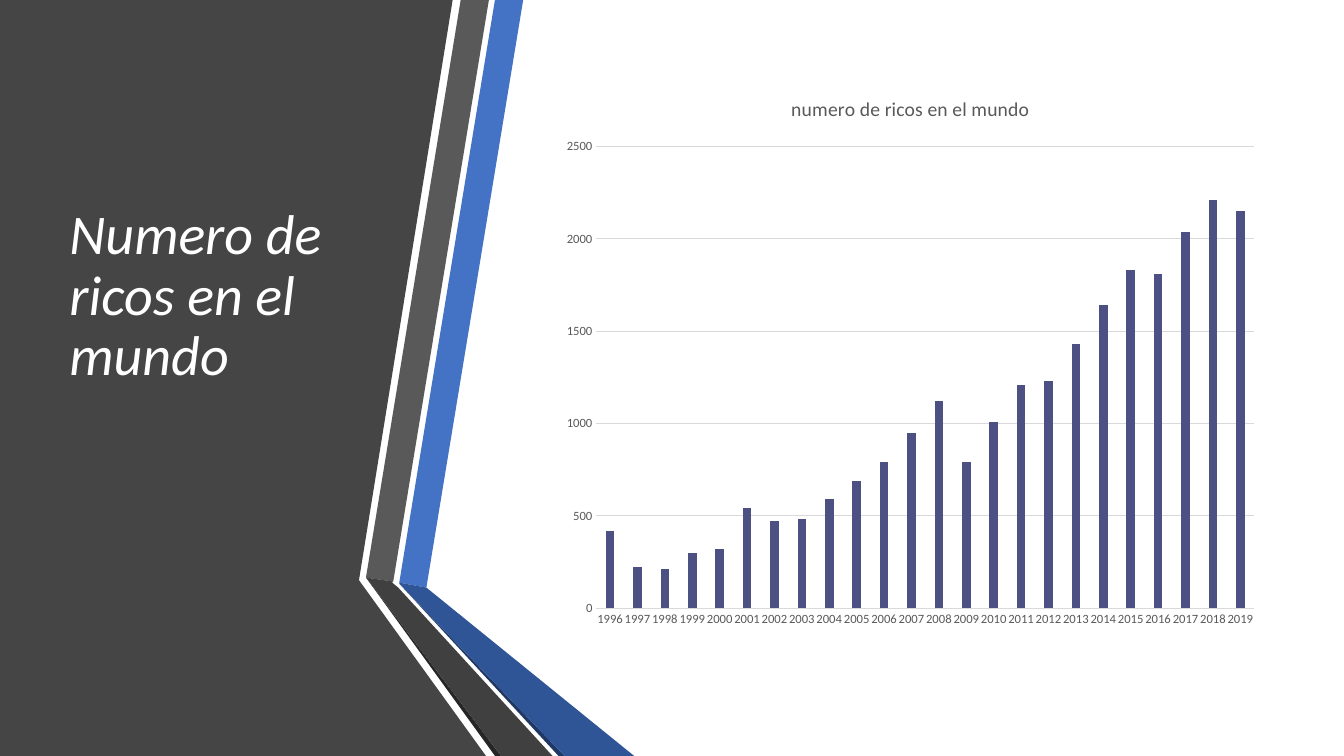
import pptx
import pptx.chart.data
import pptx.dml.color
import pptx.enum.chart
import pptx.enum.text
import pptx.util

WIDE = pptx.util.Inches(13.33)
HIGH = pptx.util.Inches(7.5)
FONT = "Calibri"
HUES = {
    "panel": "454545", "blue": "4472C4", "gray": "595959", "black": "262626",
    "navy": "203864", "deep": "2F5597", "dark": "404040", "white": "FFFFFF",
    "grid": "D9D9D9", "bar": "4D5083",
}
BANDS = [
    ("panel", [(0, 0), (33.68, 0), (26.71, 76.75), (36.16, 100), (0, 100)]),
    ("blue", [(29.71, 77.07), (31.73, 77.73), (38.93, 0), (36.83, 0)]),
    ("gray", [(36.38, 0), (34.28, 0), (27.23, 76.4), (29.26, 76.93)]),
    ("black", [(27.23, 76.4), (36.83, 100), (37.28, 100)]),
    ("navy", [(29.71, 77.2), (41.56, 100), (42.01, 100)]),
    ("deep", [(29.71, 77.2), (42.01, 100), (47.19, 100), (31.73, 77.73),
              (29.71, 77.07)]),
    ("dark", [(41.11, 100), (29.63, 77.73), (29.18, 77.07), (29.26, 76.93),
              (27.23, 76.4), (37.28, 100)]),
]
YEARS = [str(year) for year in range(1996, 2020)]
RICH = [420, 220, 210, 300, 320, 540, 470, 480, 590, 690, 790, 950,
        1120, 790, 1010, 1210, 1230, 1430, 1640, 1830, 1810, 2040, 2210, 2150]


def tint(name):
    return pptx.dml.color.RGBColor.from_string(HUES[name])


def place(x, y):
    return round(WIDE * x / 100), round(HIGH * y / 100)


def style(font, size, hue, slant=False):
    font.name = FONT
    font.size = pptx.util.Pt(size)
    font.color.rgb = tint(hue)
    font.bold = False
    font.italic = slant


def write(frame, text, size=14, hue="gray", slant=False, lead=None):
    part = frame.paragraphs[0]
    if lead:
        part.line_spacing = lead
    run = part.add_run()
    run.text = text
    style(run.font, size, hue, slant)


def add_band(slide, hue, points):
    spots = [place(*point) for point in points]
    form = slide.shapes.build_freeform(*spots[0], scale=1.0)
    form.add_line_segments(spots[1:], close=True)
    band = form.convert_to_shape()
    band.shadow.inherit = False
    band.fill.solid()
    band.fill.fore_color.rgb = tint(hue)
    band.line.fill.background()


def add_title(slide, text):
    box = slide.shapes.add_textbox(*place(4.43, 10), *place(22.81, 74.4))
    frame = box.text_frame
    frame.word_wrap = True
    frame.vertical_anchor = pptx.enum.text.MSO_ANCHOR.MIDDLE
    frame.margin_bottom = round(HIGH * 0.165)
    write(frame, text, size=40, hue="white", slant=True, lead=0.9)


def style_axis(axis):
    none = pptx.enum.chart.XL_TICK_MARK.NONE
    axis.major_tick_mark = none
    axis.minor_tick_mark = none
    style(axis.tick_labels.font, 9, "gray")


def rule(line):
    line.color.rgb = tint("grid")
    line.width = pptx.util.Pt(0.75)


def add_bars(slide, name, cats, vals):
    data = pptx.chart.data.CategoryChartData()
    data.categories = cats
    data.add_series(name, vals)
    kind = pptx.enum.chart.XL_CHART_TYPE.COLUMN_CLUSTERED
    chart = slide.shapes.add_chart(
        kind, *place(41.11, 10), *place(53.26, 74.4), data).chart
    chart.font.name = FONT
    chart.font.size = pptx.util.Pt(10)
    chart.has_legend = False
    chart.has_title = True
    write(chart.chart_title.text_frame, name)
    chart.chart_title.include_in_layout = False

    years, count = chart.category_axis, chart.value_axis
    for axis in (years, count):
        style_axis(axis)
    rule(years.format.line)
    count.format.line.fill.background()
    count.has_major_gridlines = True
    rule(count.major_gridlines.format.line)
    count.minimum_scale = 0
    count.maximum_scale = 2500
    count.major_unit = 500

    plot = chart.plots[0]
    plot.vary_by_categories = False
    plot.gap_width = 219
    plot.overlap = -27
    fill = plot.series[0].format.fill
    fill.solid()
    fill.fore_color.rgb = tint("bar")


def main():
    deck = pptx.Presentation()
    deck.slide_width = WIDE
    deck.slide_height = HIGH
    slide = deck.slides.add_slide(deck.slide_layouts[6])
    for hue, points in BANDS:
        add_band(slide, hue, points)
    add_title(slide, "Numero de ricos en el mundo")
    add_bars(slide, "numero de ricos en el mundo", YEARS, RICH)
    deck.save("out.pptx")


if __name__ == "__main__":
    main()
